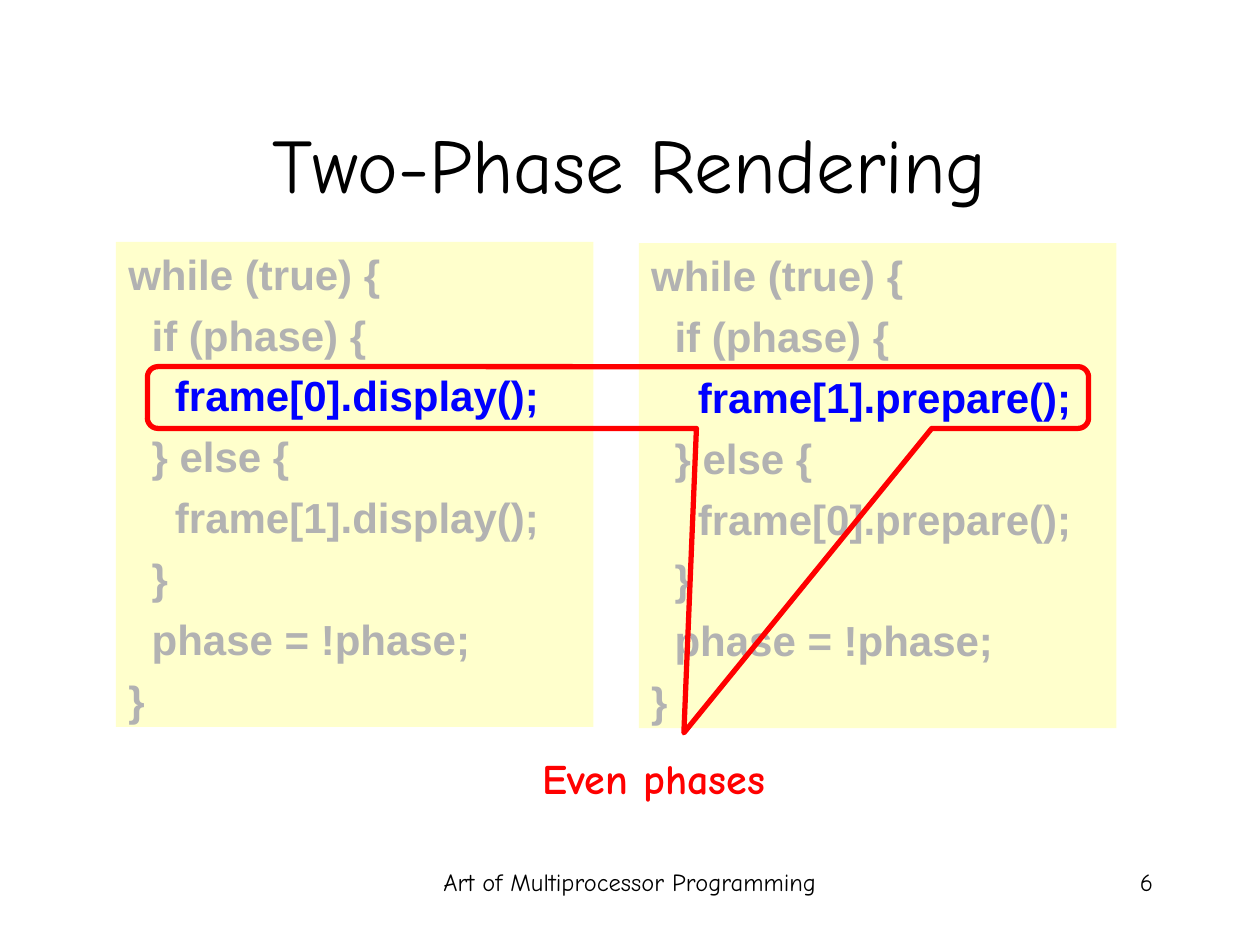
"""Build the Two-Phase Rendering slide with its two code panels and callout."""
from pptx import Presentation
from pptx.dml.color import RGBColor
from pptx.enum.shapes import MSO_SHAPE
from pptx.enum.text import MSO_ANCHOR, PP_ALIGN
from pptx.util import Inches, Pt

RECTANGLE = MSO_SHAPE.RECTANGLE
CALLOUT = MSO_SHAPE.ROUNDED_RECTANGULAR_CALLOUT
TOP, MIDDLE = MSO_ANCHOR.TOP, MSO_ANCHOR.MIDDLE
LEFT, CENTER, RIGHT = PP_ALIGN.LEFT, PP_ALIGN.CENTER, PP_ALIGN.RIGHT

COLORS = {
    "text": "000000",
    "panel": "FFFFCC",
    "code": "B2B2B2",
    "active": "0000FF",
    "accent": "FF0000",
}
BODY_FONT, CODE_FONT = "Comic Neue", "Arial"
INDENT = 0.185
ACTIVE_LINE = 2


def color(name):
    return RGBColor.from_string(COLORS[name])


def write(paragraph, text, size=14, font=BODY_FONT, fill="text", bold=False,
          align=LEFT, before=0, level=0):
    paragraph.alignment = align
    paragraph.space_before = Pt(before)
    if level:
        properties = paragraph._p.get_or_add_pPr()
        properties.set("marL", str(Inches(level * INDENT)))
        properties.set("indent", "0")
    run = paragraph.add_run()
    run.text = text
    run.font.size = Pt(size)
    run.font.name = font
    run.font.bold = bold
    run.font.color.rgb = color(fill)


prs = Presentation()
prs.slide_width, prs.slide_height = Inches(10), Inches(7.5)
slide = prs.slides.add_slide(prs.slide_layouts[5])
shapes = slide.shapes

title = shapes.title
title.left, title.top = Inches(0.75), Inches(0.67)
title.width, title.height = Inches(8.5), Inches(1.25)
title.text_frame.vertical_anchor = MIDDLE
write(title.text_frame.paragraphs[0], "Two-Phase Rendering", size=44, align=CENTER)

for left, top, action, even, odd in [
    (0.92, 1.92, "display", 0, 1),
    (5.07, 1.93, "prepare", 1, 0),
]:
    panel = shapes.add_shape(RECTANGLE, Inches(left), Inches(top), Inches(3.79), Inches(3.85))
    panel.shadow.inherit = False
    panel.fill.solid()
    panel.fill.fore_color.rgb = color("panel")
    panel.line.fill.background()
    frame = panel.text_frame
    frame.vertical_anchor = TOP
    code_lines = [
        (0, "while (true) {"),
        (1, "if (phase) {"),
        (2, f"frame[{even}].{action}();"),
        (1, "} else {"),
        (2, f"frame[{odd}].{action}();"),
        (1, "}"),
        (1, "phase = !phase;"),
        (0, "}"),
    ]
    for number, (level, code) in enumerate(code_lines):
        paragraph = frame.add_paragraph() if number else frame.paragraphs[0]
        write(paragraph, code, size=24, font=CODE_FONT, bold=True, before=6, level=level,
              fill="active" if number == ACTIVE_LINE else "code")

callout = shapes.add_shape(CALLOUT, Inches(1.17), Inches(2.91), Inches(7.47), Inches(0.49))
callout.shadow.inherit = False
callout.fill.background()
callout.line.color.rgb = color("accent")
callout.line.width = Pt(3)
for index, value in enumerate([0.07, 5.43, 0.17]):
    callout.adjustments[index] = value

for left, top, width, text, style in [
    (1.59, 5.92, 7.2, "Even phases",
     {"size": 24, "fill": "accent", "bold": True, "align": CENTER, "before": 6}),
    (3.42, 6.83, 3.17, "Art of Multiprocessor Programming", {}),
    (7.17, 6.83, 2.08, "6", {"align": RIGHT}),
]:
    label = shapes.add_textbox(Inches(left), Inches(top), Inches(width), Inches(0.5))
    label.text_frame.word_wrap = True
    write(label.text_frame.paragraphs[0], text, **style)

prs.save("out.pptx")
